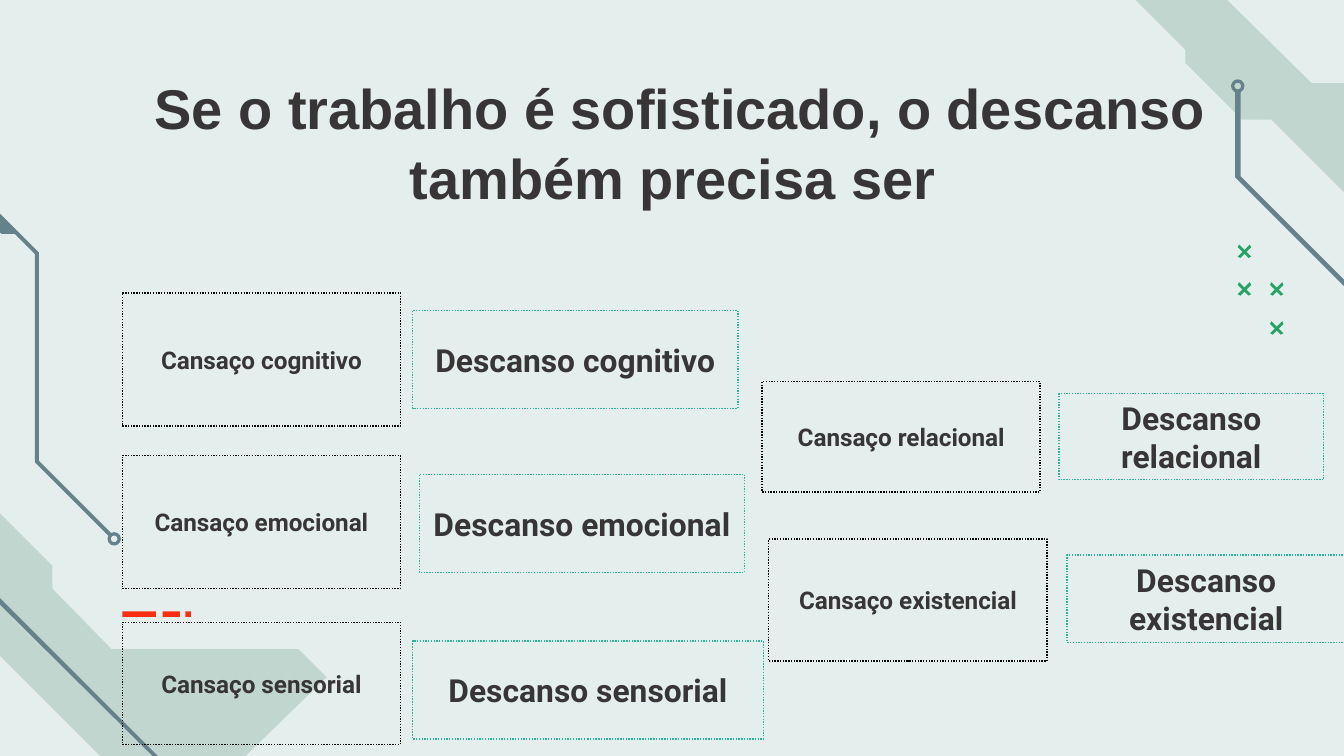
from dataclasses import dataclass
from typing import NamedTuple

from pptx import Presentation
from pptx.dml.color import RGBColor
from pptx.enum.dml import MSO_LINE
from pptx.enum.shapes import MSO_SHAPE as Shape
from pptx.enum.text import MSO_ANCHOR as Anchor, MSO_AUTO_SIZE as AutoSize, PP_ALIGN as Align
from pptx.util import Pt

PX = 9144  # EMU per px, 100 px to the inch
SLIDE_WIDTH = 1000


@dataclass(frozen=True)
class Theme:
    background: str = "E3EEED"
    band: str = "C1D6CE"
    circuit: str = "64818C"
    cross: str = "24A364"
    dash: str = "FC2E12"
    ink: str = "383536"
    tired_line: str = "000000"
    rest_line: str = "2AB59D"
    title_font: str = "Arial"
    card_font: str = "Roboto"
    title_size: int = 30
    tired_size: int = 13
    rest_size: int = 17


THEME = Theme()


class Area(NamedTuple):
    left: int
    top: int
    width: int
    height: int


class Outline(NamedTuple):
    color: str
    points: list[tuple[int, int]]


class Pair(NamedTuple):
    kind: str
    tired: Area
    rest: Area


# Corner decoration, from back to front
TOP_BAND = Outline(THEME.band, [
    (589, -259), (587, -258), (882, 37), (882, 47), (924, 89), (946, 89), (1004, 147),
    (1072, 147), (1369, 444), (1371, 443), (1048, 120), (1048, 103), (1007, 62),
    (976, 62), (904, -9), (839, -9)])
TOP_CIRCUIT = Outline(THEME.circuit, [
    (919, 67), (919, 132), (1047, 260), (1047, 298), (1050, 298), (1050, 258),
    (923, 131), (923, 67)])
LEFT_OUTLINES = [
    Outline(THEME.circuit, [
        (-166, 52), (-166, 116), (-47, 116), (26, 189), (26, 344), (82, 400), (84, 398),
        (29, 343), (29, 188), (-45, 114), (-46, 113), (-163, 113), (-163, 52)]),
    Outline(THEME.circuit, [(-30, 130), (-30, 143), (1, 174), (13, 174)]),
    Outline(THEME.band, [
        (-272, 110), (-274, 112), (-5, 381), (-5, 483), (78, 566), (165, 653), (415, 903),
        (417, 901), (174, 658), (174, 571), (243, 504), (222, 483), (83, 483), (39, 438),
        (39, 421), (-5, 377)]),
    Outline(THEME.circuit, [
        (-13, 372), (-13, 437), (115, 564), (115, 603), (118, 603), (118, 563),
        (-10, 435), (-10, 372)]),
]
CROSS_SIZE = 10
CROSS_BAR = [(0, 9), (9, 0), (10, 2), (2, 10)]
CROSSES = [(921, 210), (921, 182), (945, 239), (945, 210)]
RINGS = [Area(916, 59, 10, 10), Area(80, 396, 10, 10)]
DASHES = [Area(91, 455, 25, 4), Area(121, 455, 13, 4), Area(138, 455, 4, 4)]

# Each kind of tiredness with its kind of rest
TITLE_AREA = Area(79, 42, 843, 65)
PAIRS = [
    Pair("cognitivo", Area(91, 218, 207, 99), Area(307, 231, 242, 73)),
    Pair("emocional", Area(91, 339, 207, 99), Area(312, 353, 242, 73)),
    Pair("sensorial", Area(91, 463, 207, 91), Area(307, 477, 261, 73)),
    Pair("relacional", Area(567, 284, 207, 82), Area(788, 293, 197, 64)),
    Pair("existencial", Area(572, 401, 207, 91), Area(794, 413, 207, 65)),
]


def rgb(color: str) -> RGBColor:
    return RGBColor.from_string(color)


def paint(shape, color: str) -> None:
    shape.shadow.inherit = False
    shape.fill.solid()
    shape.fill.fore_color.rgb = rgb(color)
    shape.line.fill.background()


def add_preset(page, preset: Shape, area: Area):
    return page.shapes.add_shape(preset, *(length * PX for length in area))


def draw_outline(page, outline: Outline) -> None:
    first, *others = outline.points
    builder = page.shapes.build_freeform(*first, scale=PX)
    builder.add_line_segments(others, close=True)
    paint(builder.convert_to_shape(), outline.color)


def draw_cross(page, left: int, top: int) -> None:
    mirrored = [(CROSS_SIZE - x, y) for x, y in CROSS_BAR]
    for bar in (CROSS_BAR, mirrored):
        draw_outline(page, Outline(THEME.cross, [(left + x, top + y) for x, y in bar]))


def draw_ring(page, area: Area) -> None:
    ring = add_preset(page, Shape.DONUT, area)
    ring.adjustments[0] = 0.25
    paint(ring, THEME.circuit)


def write(box, text: str, *, font: str, size: int, inset: int,
          anchor: Anchor = Anchor.MIDDLE, line_spacing: float = 1.0) -> None:
    frame = box.text_frame
    frame.word_wrap = True
    frame.auto_size = AutoSize.NONE
    frame.vertical_anchor = anchor
    frame.margin_left = frame.margin_right = inset * PX
    frame.margin_top = frame.margin_bottom = inset * PX
    para = frame.paragraphs[0]
    para.alignment = Align.CENTER
    para.line_spacing = line_spacing
    span = para.add_run()
    span.text = text
    span.font.name = font
    span.font.size = Pt(size)
    span.font.bold = True
    span.font.color.rgb = rgb(THEME.ink)


def draw_card(page, area: Area, text: str, line_color: str, size: int) -> None:
    card = add_preset(page, Shape.RECTANGLE, area)
    card.shadow.inherit = False
    card.fill.background()
    card.line.color.rgb = rgb(line_color)
    card.line.width = Pt(0.75)
    card.line.dash_style = MSO_LINE.ROUND_DOT
    write(card, text, font=THEME.card_font, size=size, inset=7)


def place_title(page) -> None:
    title = page.shapes.title
    title.left, title.top, title.width, title.height = (length * PX for length in TITLE_AREA)
    write(title, " Se o trabalho é sofisticado, o descanso também precisa ser",
          font=THEME.title_font, size=THEME.title_size, inset=10,
          anchor=Anchor.TOP, line_spacing=1.05)


def main() -> None:
    deck = Presentation()
    deck.slide_width = SLIDE_WIDTH * PX
    deck.slide_height = SLIDE_WIDTH * PX * 9 // 16
    page = deck.slides.add_slide(deck.slide_layouts[5])
    page.background.fill.solid()
    page.background.fill.fore_color.rgb = rgb(THEME.background)

    # Decoration
    draw_outline(page, TOP_BAND)
    for left, top in CROSSES:
        draw_cross(page, left, top)
    draw_outline(page, TOP_CIRCUIT)
    for area in DASHES:
        paint(add_preset(page, Shape.RECTANGLE, area), THEME.dash)
    for outline in LEFT_OUTLINES:
        draw_outline(page, outline)
    for area in RINGS:
        draw_ring(page, area)

    # Title and cards
    place_title(page)
    for pair in PAIRS:
        draw_card(page, pair.tired, f"Cansaço {pair.kind}", THEME.tired_line, THEME.tired_size)
    for pair in PAIRS:
        draw_card(page, pair.rest, f"Descanso {pair.kind}", THEME.rest_line, THEME.rest_size)

    deck.save("out.pptx")


if __name__ == "__main__":
    main()
